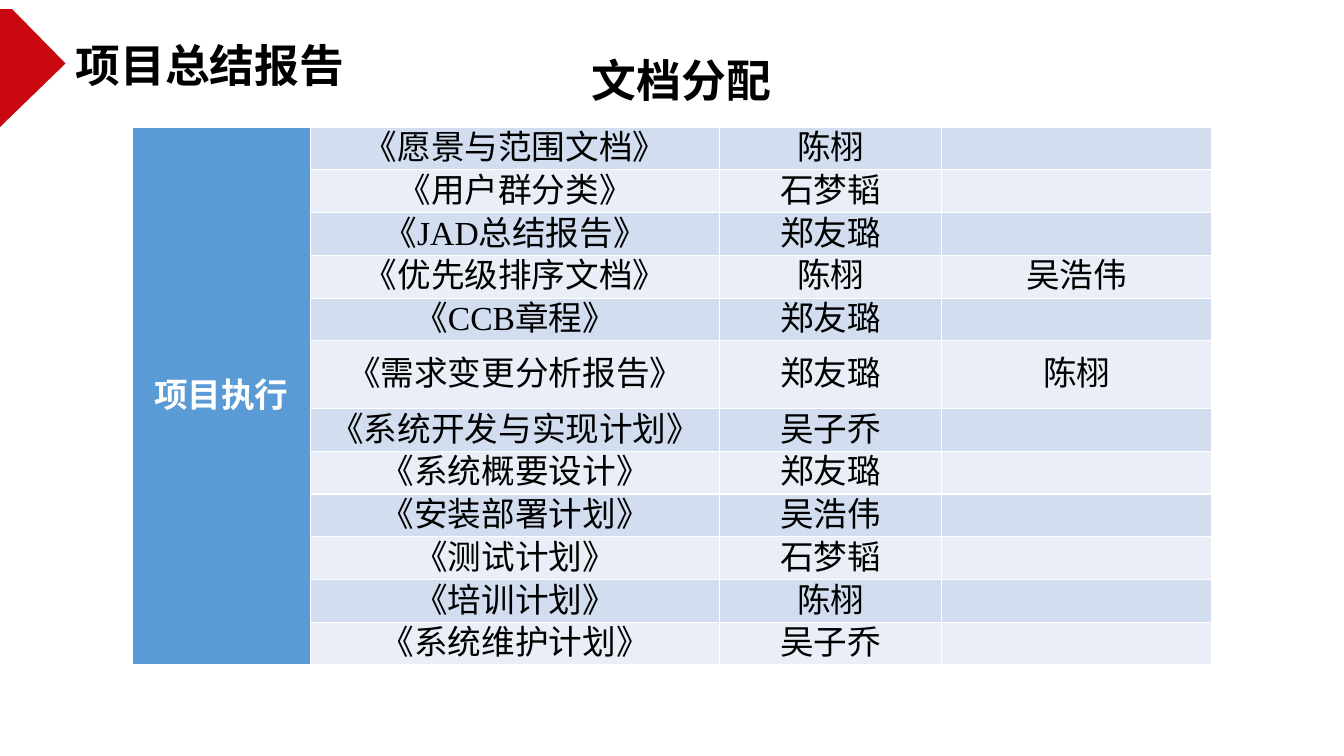
from dataclasses import dataclass

from lxml import etree
from pptx import Presentation
from pptx.dml.color import RGBColor
from pptx.enum import text
from pptx.oxml import ns
from pptx.util import Inches, Pt


@dataclass(frozen=True)
class Theme:
    red: str = "CA0810"
    blue: str = "5B9BD5"
    bands: tuple = ("D2DEEF", "EAEFF7")
    ink: str = "000000"
    white: str = "FFFFFF"
    head: int = 32
    body: int = 24
    line: int = 30
    sans: str = "Noto Sans CJK SC"
    serif: str = "Times New Roman"


class Deck:
    def __init__(self, theme):
        self.theme = theme
        self.file = Presentation()
        self.file.slide_width = Inches(13.33)
        self.file.slide_height = Inches(7.5)
        self.slide = self.file.slides.add_slide(self.file.slide_layouts[6])

    def style(self, para, size, color, name, bold=False):
        """Set the font, with the sans face for Chinese characters."""
        font = para.font
        font.size, font.bold, font.name = Pt(size), bold, name
        font.color.rgb = RGBColor.from_string(color)
        latin = font._element.find(ns.qn("a:latin"))
        east = etree.Element(ns.qn("a:ea"), typeface=self.theme.sans)
        latin.addnext(east)

    def title(self, words, left, top):
        box = self.slide.shapes.add_textbox(
            Inches(left), Inches(top), Inches(5.79), Inches(0.64))
        frame = box.text_frame
        frame.word_wrap = True
        frame.text = words
        self.style(frame.paragraphs[0], self.theme.head, self.theme.ink,
                   self.theme.sans, True)

    def outline(self, points, color):
        start, *rest = [(Inches(x), Inches(y)) for x, y in points]
        pen = self.slide.shapes.build_freeform(*start)
        pen.add_line_segments(rest, close=True)
        shape = pen.convert_to_shape()
        shape.shadow.inherit = False
        shape.fill.solid()
        shape.fill.fore_color.rgb = RGBColor.from_string(color)
        shape.line.fill.background()

    def border(self, cell):
        props = cell._tc.get_or_add_tcPr()
        for at, side in enumerate(("lnL", "lnR", "lnT", "lnB")):
            line = etree.Element(ns.qn("a:" + side), w=str(Pt(1)))
            fill = etree.SubElement(line, ns.qn("a:solidFill"))
            etree.SubElement(fill, ns.qn("a:srgbClr"), val=self.theme.white)
            props.insert(at, line)

    def cell(self, cell, words, fill, color, bold=False):
        cell.fill.solid()
        cell.fill.fore_color.rgb = RGBColor.from_string(fill)
        self.border(cell)
        cell.margin_left = cell.margin_right = Inches(0.07)
        cell.margin_top = cell.margin_bottom = 0
        cell.vertical_anchor = text.MSO_ANCHOR.MIDDLE
        cell.text = words
        para = cell.text_frame.paragraphs[0]
        para.alignment = text.PP_ALIGN.CENTER
        para.line_spacing = Pt(self.theme.line)
        self.style(para, self.theme.body, color, self.theme.serif, bold)

    def table(self, phase, docs, widths, heights):
        """Draw the documents as banded rows beside one merged phase cell."""
        grid = self.slide.shapes.add_table(
            len(docs), len(widths), Inches(1.31), Inches(1.26),
            Inches(sum(widths)), Inches(sum(heights))).table
        for col, width in zip(grid.columns, widths):
            col.width = Inches(width)
        for row, height in zip(grid.rows, heights):
            row.height = Inches(height)
        grid.cell(0, 0).merge(grid.cell(len(docs) - 1, 0))
        self.cell(grid.cell(0, 0), phase, self.theme.blue,
                  self.theme.white, True)
        for r, doc in enumerate(docs):
            for c, words in enumerate(doc, 1):
                self.cell(grid.cell(r, c), words, self.theme.bands[r % 2],
                          self.theme.ink)


DOCS = [
    ("《愿景与范围文档》", "陈栩", ""),
    ("《用户群分类》", "石梦韬", ""),
    ("《JAD总结报告》", "郑友璐", ""),
    ("《优先级排序文档》", "陈栩", "吴浩伟"),
    ("《CCB章程》", "郑友璐", ""),
    ("《需求变更分析报告》", "郑友璐", "陈栩"),
    ("《系统开发与实现计划》", "吴子乔", ""),
    ("《系统概要设计》", "郑友璐", ""),
    ("《安装部署计划》", "吴浩伟", ""),
    ("《测试计划》", "石梦韬", ""),
    ("《培训计划》", "陈栩", ""),
    ("《系统维护计划》", "吴子乔", ""),
]
TALL = 5


def main():
    deck = Deck(Theme())
    deck.outline([(0, 0.09), (0, 1.26), (0.65, 0.63), (0.12, 0.09)],
                 deck.theme.red)
    deck.title("文档分配", 5.77, 0.47)
    high = 0.67
    low = (5.34 - high) / (len(DOCS) - 1)
    heights = [high if r == TALL else low for r in range(len(DOCS))]
    deck.table("项目执行", DOCS, [1.77, 4.06, 2.2, 2.68], heights)
    deck.title("项目总结报告", 0.65, 0.33)
    deck.file.save("out.pptx")


if __name__ == "__main__":
    main()
